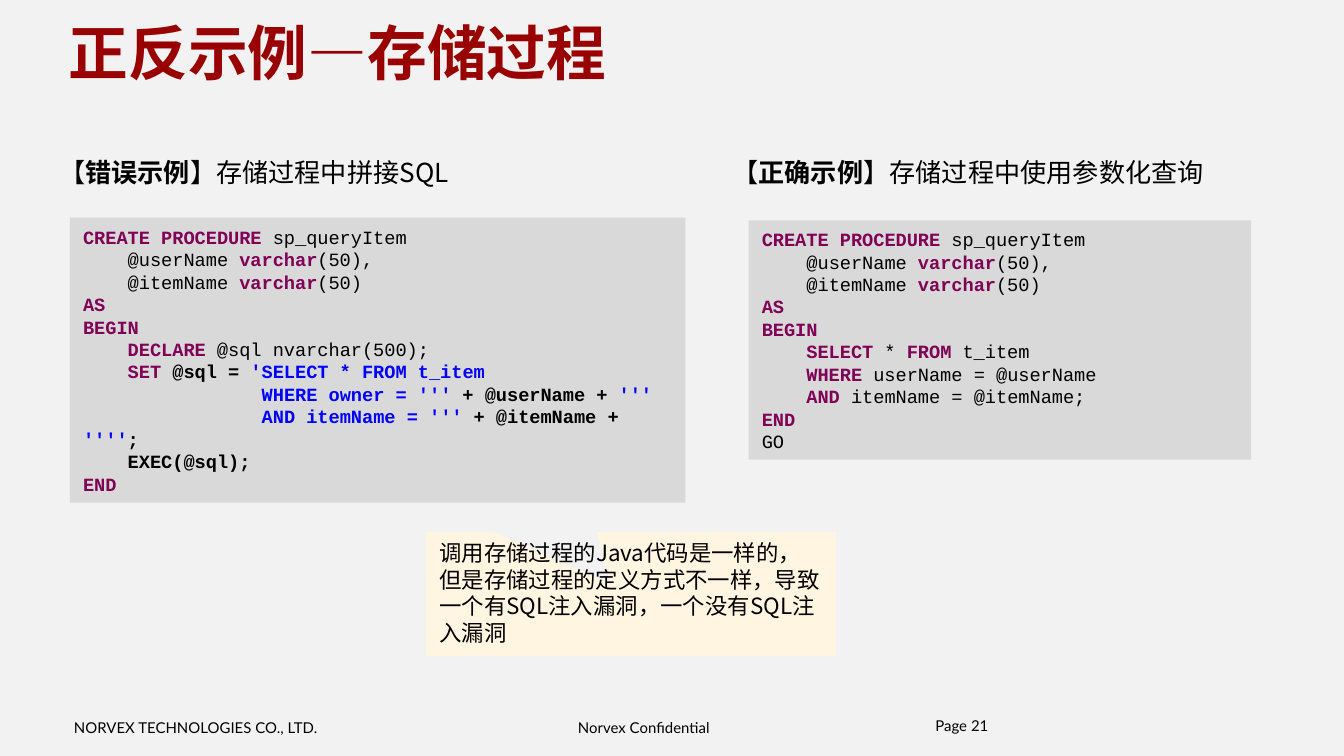
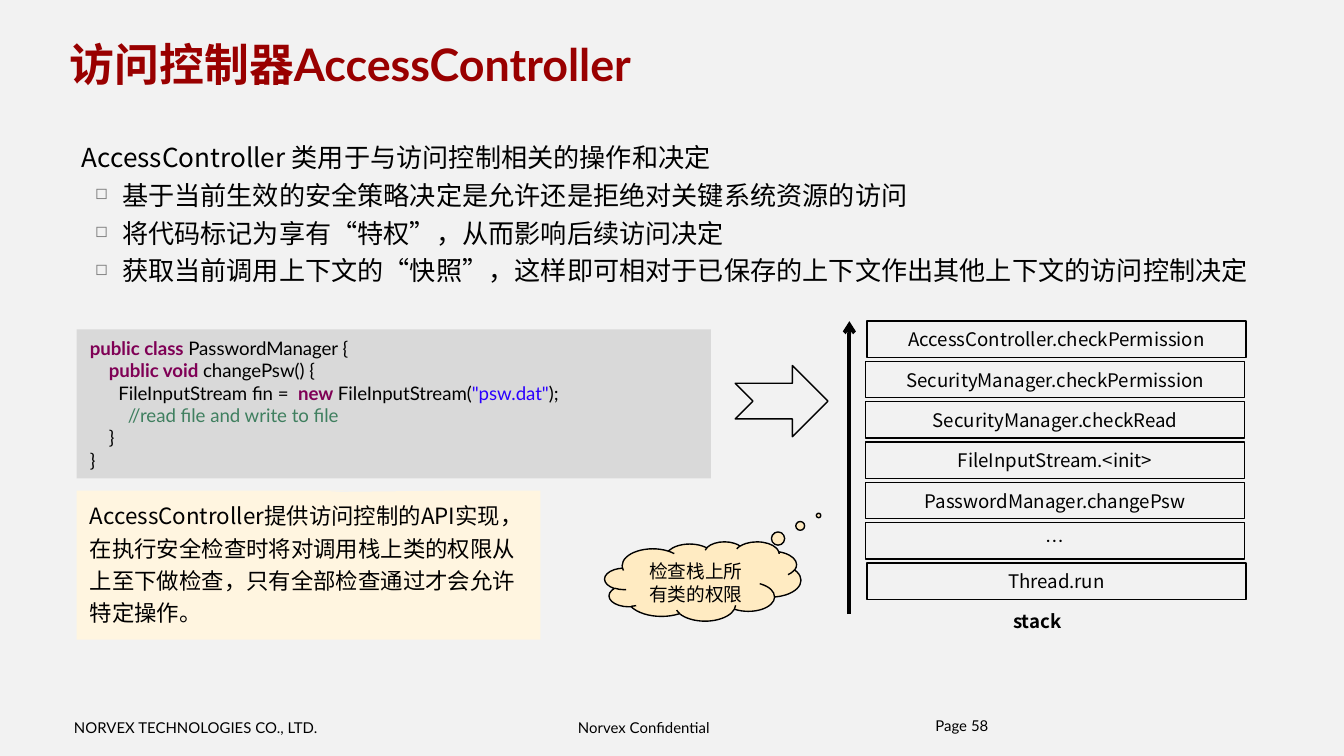
from dataclasses import dataclass
from typing import NamedTuple

from lxml import etree
from pptx import Presentation
from pptx.dml.color import RGBColor
from pptx.enum import shapes, text
from pptx.oxml.ns import qn
from pptx.util import Inches, Pt

BLACK = RGBColor(0x00, 0x00, 0x00)
PAPER = RGBColor(0xF2, 0xF2, 0xF2)
TITLE_RED = RGBColor(0x99, 0x00, 0x00)
CODE_GRAY = RGBColor(0xD9, 0xD9, 0xD9)
NOTE_CREAM = RGBColor(0xFF, 0xF5, 0xE0)
CLOUD_CREAM = RGBColor(0xFF, 0xEB, 0xC2)
KEYWORD = RGBColor(0x7F, 0x00, 0x55)
SQL_STRING = RGBColor(0x00, 0x00, 0xFF)
JAVA_STRING = RGBColor(0x2A, 0x00, 0xFF)
COMMENT = RGBColor(0x3F, 0x7F, 0x5F)

LATIN = "Lato"
CJK = "Noto Sans CJK SC"
MONO = "Courier New"
TOP, MIDDLE = text.MSO_ANCHOR.TOP, text.MSO_ANCHOR.MIDDLE
LEFT, CENTER = text.PP_ALIGN.LEFT, text.PP_ALIGN.CENTER
FIXED, GROW = text.MSO_AUTO_SIZE.NONE, text.MSO_AUTO_SIZE.SHAPE_TO_FIT_TEXT
SHAPE = shapes.MSO_SHAPE


class Box(NamedTuple):
    left: float
    top: float
    width: float
    height: float

    def emu(self) -> list:
        return [Inches(side) for side in self]


class Span(NamedTuple):
    text: str
    color: RGBColor = BLACK
    bold: bool = False


@dataclass(frozen=True)
class Style:
    size: float
    font: str = CJK
    align: int = LEFT
    anchor: int = TOP
    spacing: float = 1.0
    insets: tuple = (0.1, 0.05, 0.1, 0.05)
    wrap: bool = True
    fit: int = FIXED


@dataclass(frozen=True)
class Panel:
    box: Box
    lines: list
    style: Style
    kind: int = SHAPE.RECTANGLE
    fill: RGBColor | None = None
    outlined: bool = False
    pointer: tuple = ()


@dataclass(frozen=True)
class Footer:
    box: Box
    words: str
    style: Style


SQL_CODE = Style(10, MONO, anchor=MIDDLE)
JAVA_CODE = Style(10, LATIN, anchor=MIDDLE, insets=(0.1, 0, 0.1, 0), fit=GROW)
CAPTION = Style(14, spacing=1.4, insets=(0.09, 0.04, 0.09, 0.04))
SUMMARY = Style(14, spacing=1.2)
FRAME = Style(10, align=CENTER, anchor=MIDDLE)
FOOTERS = (
    Footer(Box(0.55, 5.35, 1.91, 0.13), "NORVEX TECHNOLOGIES CO., LTD.",
           Style(8, LATIN, insets=(0, 0, 0.09, 0), wrap=False)),
    Footer(Box(4.21, 5.35, 1.26, 0.13), "Norvex Confidential",
           Style(8, LATIN, insets=(0.09, 0, 0.09, 0), wrap=False)),
    Footer(Box(6.96, 5.35, 2.29, 0.37), "Page {page}",
           Style(8, LATIN, spacing=0.85, insets=(0, 0, 0, 0))),
)


def kw(word: str) -> Span:
    return Span(word, KEYWORD, True)


def sql(literal: str) -> Span:
    return Span(literal, SQL_STRING, True)


def strong(words: str) -> Span:
    return Span(words, BLACK, True)


PROCEDURE_HEAD = [
    [kw("CREATE PROCEDURE"), Span(" sp_queryItem")],
    [Span("    @userName "), kw("varchar"), Span("(50),")],
    [Span("    @itemName "), kw("varchar"), Span("(50)")],
    [kw("AS")],
    [kw("BEGIN")],
]
CONCATENATED = PROCEDURE_HEAD + [
    [Span("    "), kw("DECLARE"), Span(" @sql nvarchar(500);")],
    [strong("    "), kw("SET"), strong(" @sql = "), sql("'SELECT * FROM t_item")],
    [sql("                WHERE owner = '''"), strong(" + @userName + "), sql("'''")],
    [sql("                AND itemName = '''"), strong(" + @itemName + "),
     sql("''''"), strong(";")],
    [strong("    EXEC(@sql);")],
    [kw("END")],
]
PARAMETERIZED = PROCEDURE_HEAD + [
    [Span("    "), kw("SELECT"), Span(" * "), kw("FROM"), Span(" t_item")],
    [Span("    "), kw("WHERE"), Span(" userName = @userName")],
    [Span("    "), kw("AND"), Span(" itemName = @itemName;")],
    [kw("END")],
    [Span("GO")],
]
PASSWORD_MANAGER = [
    [kw("public class"), Span(" PasswordManager {")],
    [Span("    "), kw("public void"), Span(" changePsw() {")],
    [Span("      FileInputStream fin =  "), kw("new"), Span(" FileInputStream("),
     Span('"psw.dat"', JAVA_STRING), Span(");")],
    [Span("        "), Span("//read file and write to file", COMMENT)],
    [Span("    }")],
    [Span("}")],
]
CALL_STACK = [
    "AccessController.checkPermission",
    "SecurityManager.checkPermission",
    "SecurityManager.checkRead",
    "FileInputStream.<init>",
    "PasswordManager.changePsw",
    "…",
    "Thread.run",
]


def write(frame, lines: list, style: Style) -> None:
    frame.auto_size = style.fit
    frame.word_wrap = style.wrap
    frame.vertical_anchor = style.anchor
    (frame.margin_left, frame.margin_top,
     frame.margin_right, frame.margin_bottom) = map(Inches, style.insets)
    for index, line in enumerate(lines):
        paragraph = frame.add_paragraph() if index else frame.paragraphs[0]
        paragraph.alignment = style.align
        paragraph.line_spacing = style.spacing
        paragraph._p.get_or_add_pPr().set("hangingPunct", "0")
        for span in line:
            run = paragraph.add_run()
            run.text = span.text
            run.font.size = Pt(style.size)
            run.font.bold = span.bold
            run.font.name = style.font
            run.font.color.rgb = span.color
            etree.SubElement(run.font._element, qn("a:ea"), typeface=CJK)


def add_text(slide, box: Box, lines: list, style: Style):
    frame = slide.shapes.add_textbox(*box.emu()).text_frame
    write(frame, lines, style)
    return frame


def add_panel(slide, panel: Panel) -> None:
    shape = slide.shapes.add_shape(panel.kind, *panel.box.emu())
    shape.shadow.inherit = False
    if panel.fill is None:
        shape.fill.background()
    else:
        shape.fill.solid()
        shape.fill.fore_color.rgb = panel.fill
    if panel.outlined:
        shape.line.color.rgb = BLACK
        shape.line.width = Pt(0.75)
    else:
        shape.line.fill.background()
    for index, offset in enumerate(panel.pointer):
        shape.adjustments[index] = offset
    write(shape.text_frame, panel.lines, panel.style)


def add_bullet(paragraph) -> None:
    paragraph.level = 1
    properties = paragraph._p.get_or_add_pPr()
    properties.set("marL", str(Inches(0.3)))
    properties.set("indent", str(Inches(-0.2)))
    color = etree.SubElement(properties, qn("a:buClr"))
    etree.SubElement(color, qn("a:srgbClr"), val="777777")
    etree.SubElement(properties, qn("a:buSzPct"), val="60000")
    etree.SubElement(properties, qn("a:buChar"), char="◻")


def add_stack_arrow(slide, x: float, bottom: float, top: float) -> None:
    arrow = slide.shapes.add_connector(
        shapes.MSO_CONNECTOR.STRAIGHT, *map(Inches, (x, bottom, x, top)))
    arrow.line.color.rgb = BLACK
    arrow.line.width = Pt(2)
    etree.SubElement(arrow.line._get_or_add_ln(), qn("a:tailEnd"), type="arrow")
    etree.SubElement(arrow._element.spPr, qn("a:effectLst"))


def start_slide(prs, heading: str, box: Box, style: Style, page: int):
    slide = prs.slides.add_slide(prs.slide_layouts[5])
    title = slide.shapes.title
    title.left, title.top, title.width, title.height = box.emu()
    write(title.text_frame, [[Span(heading, TITLE_RED, True)]], style)
    for footer in FOOTERS:
        add_text(slide, footer.box, [[Span(footer.words.format(page=page))]],
                 footer.style)
    return slide


def build_procedures(prs) -> None:
    slide = start_slide(prs, "正反示例—存储过程", Box(0.43, 0.08, 8.82, 0.94),
                        Style(32, LATIN, insets=(0.08, 0.04, 0.08, 0.04)), 21)
    for left, verdict, topic in (
        (0.35, "错误示例", "】存储过程中拼接SQL"),
        (5.36, "正确示例", "】存储过程中使用参数化查询"),
    ):
        add_text(slide, Box(left, 1.03, 3.74, 0.42),
                 [[Span("【"), strong(verdict), Span(topic)]], CAPTION)
    for box, code in (
        (Box(0.52, 1.62, 4.58, 2.12), CONCATENATED),
        (Box(5.57, 1.64, 3.74, 1.78), PARAMETERIZED),
    ):
        add_panel(slide, Panel(box, code, SQL_CODE, fill=CODE_GRAY))
    add_panel(slide, Panel(
        Box(3.17, 3.96, 3.05, 0.92),
        [[Span("调用存储过程的Java代码是一样的，但是存储过程的定义方式不一样，"
               "导致一个有SQL注入漏洞，一个没有SQL注入漏洞")]],
        Style(12), SHAPE.RECTANGULAR_CALLOUT, NOTE_CREAM, pointer=(-0.05, -0.08)))


def build_access_controller(prs) -> None:
    slide = start_slide(
        prs, "访问控制器AccessController", Box(0.45, 0.23, 8.82, 0.48),
        Style(24, LATIN, anchor=MIDDLE, insets=(0.07, 0.04, 0.07, 0.04)), 58)
    add_panel(slide, Panel(Box(0.57, 2.45, 4.72, 1.11), PASSWORD_MANAGER,
                           JAVA_CODE, fill=CODE_GRAY))
    summary = add_text(slide, Box(0.51, 0.96, 8.9, 1.23), [
        [Span("AccessController 类用于与访问控制相关的操作和决定")],
        [Span("基于当前生效的安全策略决定是允许还是拒绝对关键系统资源的访问")],
        [Span("将代码标记为享有“特权”，从而影响后续访问决定")],
        [Span("获取当前调用上下文的“快照”，这样即可相对于已保存的上下文"
              "作出其他上下文的访问控制决定")],
    ], SUMMARY)
    for point in summary.paragraphs[1:]:
        add_bullet(point)

    add_text(slide, Box(7.44, 4.49, 0.56, 0.27), [[strong("stack")]],
             Style(10, wrap=False))
    for row, call in enumerate(CALL_STACK):
        left = 6.45 if row in (0, len(CALL_STACK) - 1) else 6.44
        add_panel(slide, Panel(Box(left, 2.39 + 0.3 * row, 2.82, 0.27),
                               [[Span(call)]], FRAME, outlined=True))
    add_stack_arrow(slide, 6.32, 4.57, 2.39)
    add_panel(slide, Panel(
        Box(4.5, 4.03, 1.46, 0.59), [[Span("检查栈上所有类的权限")]],
        Style(10, align=CENTER), SHAPE.CLOUD_CALLOUT, CLOUD_CREAM, True,
        (0.59, -0.83)))
    add_panel(slide, Panel(
        Box(0.57, 3.65, 3.45, 1.11),
        [[Span("AccessController提供访问控制的API实现，在执行安全检查时将对"
               "调用栈上类的权限从上至下做检查，只有全部检查通过才会允许特定操作。")]],
        Style(12, spacing=1.2), SHAPE.RECTANGULAR_CALLOUT, NOTE_CREAM,
        pointer=(0.03, -0.49)))
    add_panel(slide, Panel(Box(5.47, 2.72, 0.69, 0.53), [], FRAME,
                           SHAPE.NOTCHED_RIGHT_ARROW, outlined=True))


def main() -> None:
    prs = Presentation()
    prs.slide_width = Inches(10)
    prs.slide_height = prs.slide_width * 9 // 16
    backdrop = prs.slide_master.background.fill
    backdrop.solid()
    backdrop.fore_color.rgb = PAPER
    build_procedures(prs)
    build_access_controller(prs)
    prs.save("out.pptx")


if __name__ == "__main__":
    main()
